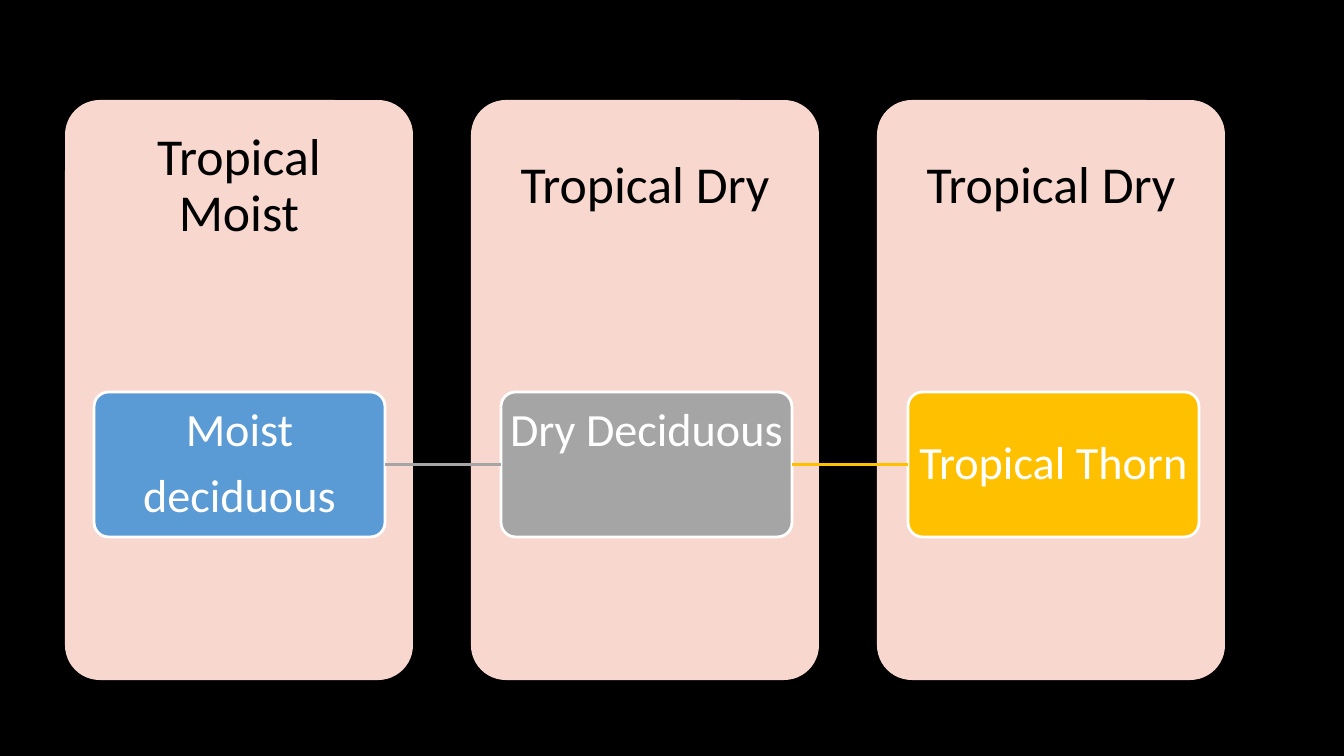
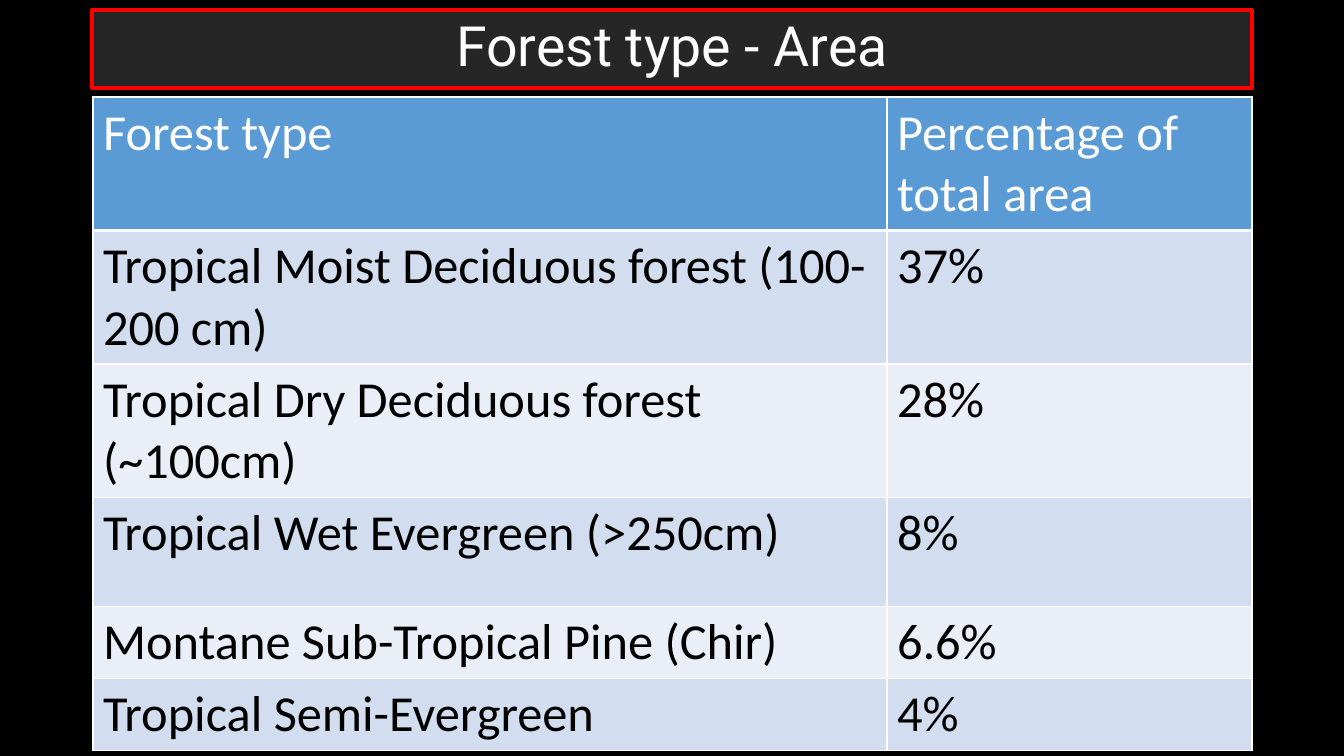
from dataclasses import dataclass

from lxml import etree
from pptx import Presentation
from pptx.dml.color import RGBColor
from pptx.enum.shapes import MSO_CONNECTOR, MSO_SHAPE
from pptx.enum.text import MSO_ANCHOR, PP_ALIGN
from pptx.oxml.ns import qn
from pptx.util import Pt

ROUNDED, RECTANGLE = MSO_SHAPE.ROUNDED_RECTANGLE, MSO_SHAPE.RECTANGLE
STRAIGHT = MSO_CONNECTOR.STRAIGHT
TOP, MIDDLE = MSO_ANCHOR.TOP, MSO_ANCHOR.MIDDLE
CENTER, LEFT = PP_ALIGN.CENTER, PP_ALIGN.LEFT
LEFT_SIDE, RIGHT_SIDE = 1, 3
PX = 914400 / 100.8


@dataclass(frozen=True)
class Theme:
    black: str = "000000"
    white: str = "FFFFFF"
    panel: str = "F8D7CE"
    blue: str = "5B9BD5"
    gray: str = "A5A5A5"
    gold: str = "FFC000"
    title_fill: str = "262626"
    title_line: str = "FF0000"
    bands: tuple = ("D2DEEF", "EAEFF7")
    body_font: str = "Calibri"
    title_font: str = "Roboto"
    title_size: float = 39.6
    climate_size: float = 37
    forest_size: float = 33
    table_size: float = 36


theme = Theme()


def px(*lengths):
    """Turn pixel lengths into a list of EMU."""
    return [round(length * PX) for length in lengths]


def add_block(slide, kind, box, fill, line, lines, size, color,
              font=theme.body_font, margins=(2, 2, 2, 2), anchor=MIDDLE):
    """Add a filled shape with centred text; line is (colour, points) or None."""
    block = slide.shapes.add_shape(kind, *px(*box))
    block.shadow.inherit = False
    block.fill.solid()
    block.fill.fore_color.rgb = RGBColor.from_string(fill)
    if line:
        block.line.color.rgb = RGBColor.from_string(line[0])
        block.line.width = Pt(line[1])
    else:
        block.line.fill.background()
    if kind == ROUNDED:
        block.adjustments[0] = 0.1
    frame = block.text_frame
    frame.word_wrap = True
    frame.vertical_anchor = anchor
    (frame.margin_left, frame.margin_top,
     frame.margin_right, frame.margin_bottom) = px(*margins)
    frame.text = "\n".join(lines)
    for paragraph in frame.paragraphs:
        paragraph.alignment = CENTER
        paragraph.line_spacing = 0.9
        paragraph.font.size = Pt(size)
        paragraph.font.name = font
        paragraph.font.color.rgb = RGBColor.from_string(color)
    for paragraph in frame.paragraphs[:-1]:
        paragraph.space_after = Pt(11)
    return block


deck = Presentation()
deck.slide_width, deck.slide_height = px(1344, 756)
climate_slide, area_slide = [deck.slides.add_slide(deck.slide_layouts[6]) for _ in range(2)]
for slide in deck.slides:
    slide.background.fill.solid()
    slide.background.fill.fore_color.rgb = RGBColor.from_string(theme.black)

# Climates and their forests
climates = [
    ("Tropical Moist", ["Moist", "deciduous"], theme.blue, MIDDLE),
    ("Tropical Dry", ["Dry Deciduous"], theme.gray, TOP),
    ("Tropical Dry", ["Tropical Thorn"], theme.gold, MIDDLE),
]
for column, (climate, _, _, _) in enumerate(climates):
    add_block(climate_slide, ROUNDED, (65 + 406 * column, 100, 348, 580), theme.panel, None,
              [climate], theme.climate_size, theme.black, margins=(19, 19, 19, 425))

previous = None
for column, (_, forest, color, anchor) in enumerate(climates):
    margins = (2, 10, 2, 2) if anchor == TOP else (2, 2, 2, 2)
    current = add_block(climate_slide, ROUNDED, (94 + 407 * column, 392, 291, 145), color,
                        (theme.white, 2), forest, theme.forest_size, theme.white,
                        margins=margins, anchor=anchor)
    if previous:
        link = climate_slide.shapes.add_connector(STRAIGHT, 0, 0, 0, 0)
        link.begin_connect(previous, RIGHT_SIDE)
        link.end_connect(current, LEFT_SIDE)
        link.line.color.rgb = RGBColor.from_string(color)
        link.line.width = Pt(2)
        etree.SubElement(link.element.spPr, qn("a:effectLst"))
    previous = current

# Forest areas
add_block(area_slide, RECTANGLE, (92, 10, 1160, 78), theme.title_fill, (theme.title_line, 3),
          ["Forest type - Area"], theme.title_size, theme.white, font=theme.title_font)

areas = [
    ("Forest type", "Percentage of total area", 133),
    ("Tropical Moist Deciduous forest (100-200 cm)", "37%", 133),
    ("Tropical Dry Deciduous forest (~100cm)", "28%", 133),
    ("Tropical Wet Evergreen (>250cm)", "8%", 109),
    ("Montane Sub-Tropical Pine (Chir)", "6.6%", 72),
    ("Tropical Semi-Evergreen", "4%", 72),
]
table_height = sum(height for _, _, height in areas)
area_table = area_slide.shapes.add_table(
    len(areas), 2, *px(93, 97, 1159, table_height)).table
for column, width in zip(area_table.columns, px(794, 365)):
    column.width = width

for row, (forest, share, height) in enumerate(areas):
    area_table.rows[row].height = px(height)[0]
    fill = theme.bands[(row - 1) % 2] if row else theme.blue
    borders = {"a:lnL": 1, "a:lnR": 1, "a:lnT": 3 if row == 1 else 1, "a:lnB": 1 if row else 3}
    for column, text in enumerate((forest, share)):
        cell = area_table.cell(row, column)
        properties = cell._tc.get_or_add_tcPr()
        for side, points in borders.items():
            border = etree.SubElement(properties, qn(side), w=str(Pt(points)))
            solid = etree.SubElement(border, qn("a:solidFill"))
            etree.SubElement(solid, qn("a:srgbClr"), val=theme.white)
        cell.fill.solid()
        cell.fill.fore_color.rgb = RGBColor.from_string(fill)
        cell.text = text
        paragraph = cell.text_frame.paragraphs[0]
        paragraph.alignment = LEFT
        font = paragraph.runs[0].font
        font.size = Pt(theme.table_size)
        font.name = theme.body_font
        font.bold = False
        font.color.rgb = RGBColor.from_string(theme.black if row else theme.white)

deck.save("out.pptx")
